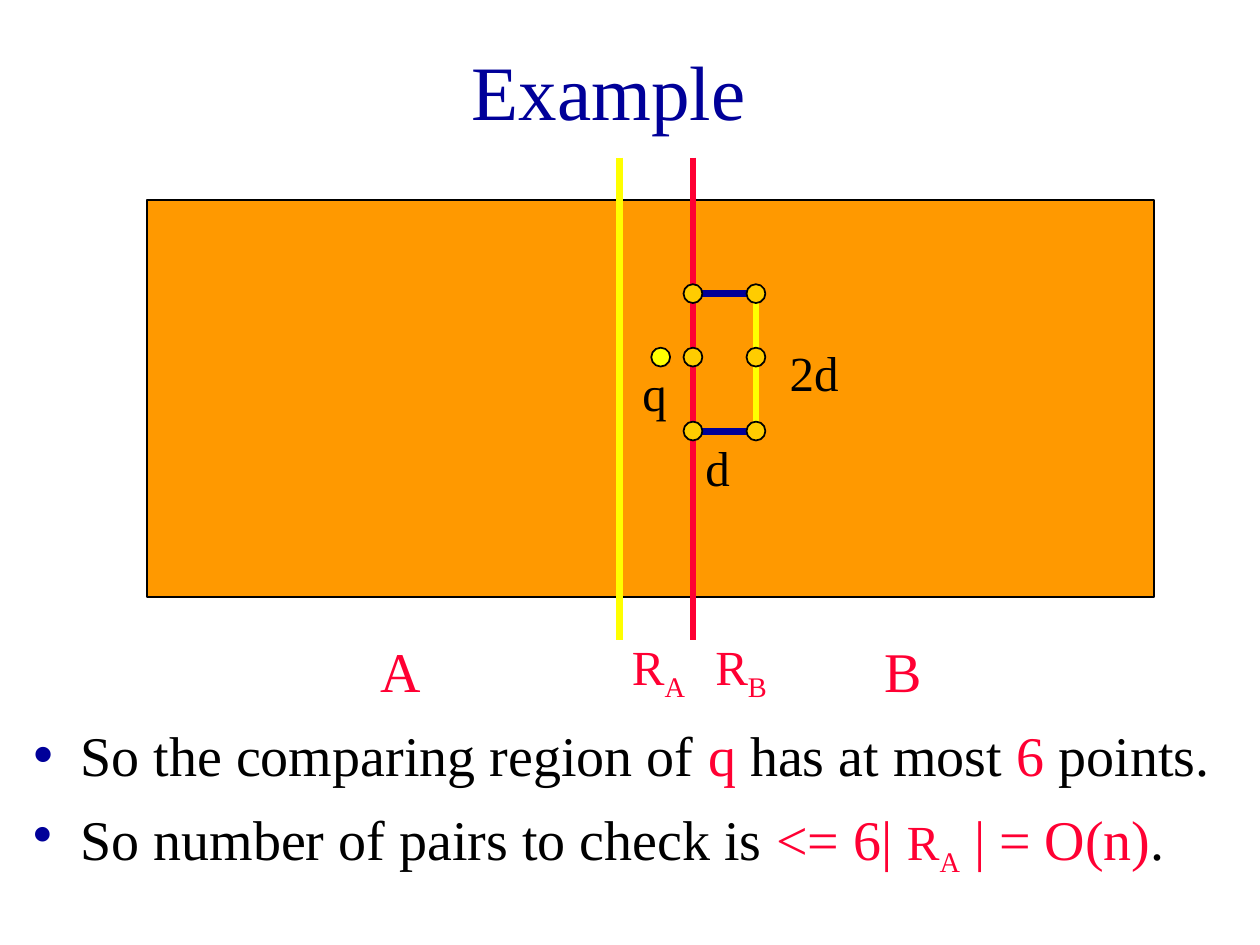
from dataclasses import dataclass
from lxml.etree import SubElement
from pptx import Presentation
from pptx.dml.color import RGBColor as RGB
from pptx.enum.shapes import MSO_CONNECTOR as Conn, MSO_SHAPE as Kind
from pptx.enum.text import MSO_ANCHOR as Anchor, MSO_AUTO_SIZE as Auto, PP_ALIGN as Align
from pptx.oxml.ns import qn
from pptx.util import Cm, Pt


@dataclass(frozen=True)
class Theme:
    face: str = "Times New Roman"
    ink: str = "000000"
    blue: str = "000099"
    red: str = "FF0033"
    field: str = "FF9900"
    gold: str = "FFCC00"
    lemon: str = "FFFF00"
    head: int = 44
    body: int = 32
    note: int = 28
    thin: int = 1
    thick: int = 4


T = Theme()


def style(item, **vals):
    """Set every given attribute on the item."""
    for key, val in vals.items():
        setattr(item, key, val)


def place(item, box):
    names = ("left", "top", "width", "height")
    style(item, **dict(zip(names, map(Cm, box))))


def write(par, runs):
    """Add runs given as (text, colour, size, is subscript)."""
    for text, hue, size, sub in runs:
        run = par.add_run()
        run.text = text
        style(run.font, name=T.face, size=Pt(size))
        run.font.color.rgb = RGB.from_string(hue)
        if sub:
            run.font._element.set("baseline", "-25000")


def frame(item, anchor=Anchor.TOP, auto=Auto.NONE):
    """Prepare a text frame and return its first paragraph."""
    style(item.text_frame, word_wrap=True, auto_size=auto, vertical_anchor=anchor)
    return item.text_frame.paragraphs[0]


def shape(slide, kind, box, hue):
    item = slide.shapes.add_shape(kind, *map(Cm, box))
    item.shadow.inherit = False
    item.fill.solid()
    item.fill.fore_color.rgb = RGB.from_string(hue)
    item.line.color.rgb = RGB.from_string(T.ink)
    item.line.width = Pt(T.thin)


def line(slide, ends, hue):
    item = slide.shapes.add_connector(Conn.STRAIGHT, *map(Cm, ends))
    item.line.color.rgb = RGB.from_string(hue)
    item.line.width = Pt(T.thick)
    SubElement(item._element.spPr, qn("a:effectLst"))


def label(slide, box, runs):
    item = slide.shapes.add_textbox(*map(Cm, box))
    par = frame(item, auto=Auto.SHAPE_TO_FIT_TEXT)
    write(par, runs)


def title(slide, box):
    item = slide.shapes.title
    place(item, box)
    par = frame(item, Anchor.MIDDLE)
    par.alignment = Align.CENTER
    write(par, [("Example", T.blue, T.head, False)])


def bullet(item, box, runs):
    place(item, box)
    par = frame(item)
    style(par, alignment=Align.LEFT, space_before=Pt(8))
    props = par._p.get_or_add_pPr()
    for key, val in {"marL": Cm(0.95), "indent": Cm(-0.95)}.items():
        props.set(key, str(int(val)))
    tint = SubElement(props, qn("a:buClr"))
    SubElement(tint, qn("a:srgbClr")).set("val", T.blue)
    SubElement(props, qn("a:buChar")).set("char", "•")
    write(par, runs)


def diagram(slide, box):
    x, y, wide, high = box
    shape(slide, Kind.RECTANGLE, box, T.field)

    # Strip edges, then the d by 2d region
    edge, seam, far = x + 9.52, x + 11, x + 12.27
    rows = top, mid, low = y + 1.88, y + 3.16, y + 4.65
    over = 0.86
    for at, hue in ((seam, T.red), (edge, T.lemon)):
        line(slide, (at, y - over, at, y + high + over), hue)
    line(slide, (far, top, far, low), T.lemon)
    for row in (top, low):
        line(slide, (seam, row, far, row), T.blue)

    # Six points of the region and the query point
    size = 0.38
    dots = [(col, row, T.gold) for col in (seam, far) for row in rows]
    for col, row, hue in dots + [(x + 10.35, mid, T.lemon)]:
        shape(slide, Kind.OVAL, (col - size / 2, row - size / 2, size, size), hue)

    # Names of the halves and strips below the field
    base = y + 8.66
    for dx, text in ((4.45, "A"), (14.61, "B")):
        label(slide, (x + dx, base, 1.9, 1.6), [(text, T.red, T.body, False)])
    for dx, text in ((9.52, "A"), (11.2, "B")):
        runs = [("R", T.red, T.note, False), (text, T.red, T.note, True)]
        label(slide, (x + dx, base, 1.9, 1.6), runs)

    # Measures inside the field
    for dx, dy, w, text in ((9.73, 3.15, 1.07, "q"), (11, 4.65, 1.07, "d"),
                            (12.7, 2.74, 1.7, "2d")):
        label(slide, (x + dx, y + dy, w, 1.45), [(text, T.ink, T.note, False)])


def claims(slide, box):
    x, y, wide, high = box
    bullet(slide.placeholders[1], (x, y, wide, high), [
        ("So the comparing region of ", T.ink, T.body, False),
        ("q ", T.red, T.body, False),
        ("has at most ", T.ink, T.body, False),
        ("6 ", T.red, T.body, False),
        ("points.", T.ink, T.body, False)])
    spot = (x, y + 1.69, wide - 0.63, high)
    bullet(slide.shapes.add_textbox(*map(Cm, spot)), spot, [
        ("So number of pairs to check is", T.ink, T.body, False),
        (" <= 6| ", T.red, T.body, False),
        ("R", T.red, T.note, False),
        ("A", T.red, T.note, True),
        (" | = O(n)", T.red, T.body, False),
        (".", T.ink, T.body, False)])


def main():
    deck = Presentation()
    style(deck, slide_width=Cm(25.4), slide_height=Cm(19.05))
    slide = deck.slides.add_slide(deck.slide_layouts[0])
    title(slide, (1.48, 0.64, 21.59, 2.33))
    diagram(slide, (2.97, 4.04, 20.3, 8))
    claims(slide, (0.42, 14.4, 24.34, 1.7))
    deck.save("out.pptx")


if __name__ == "__main__":
    main()
